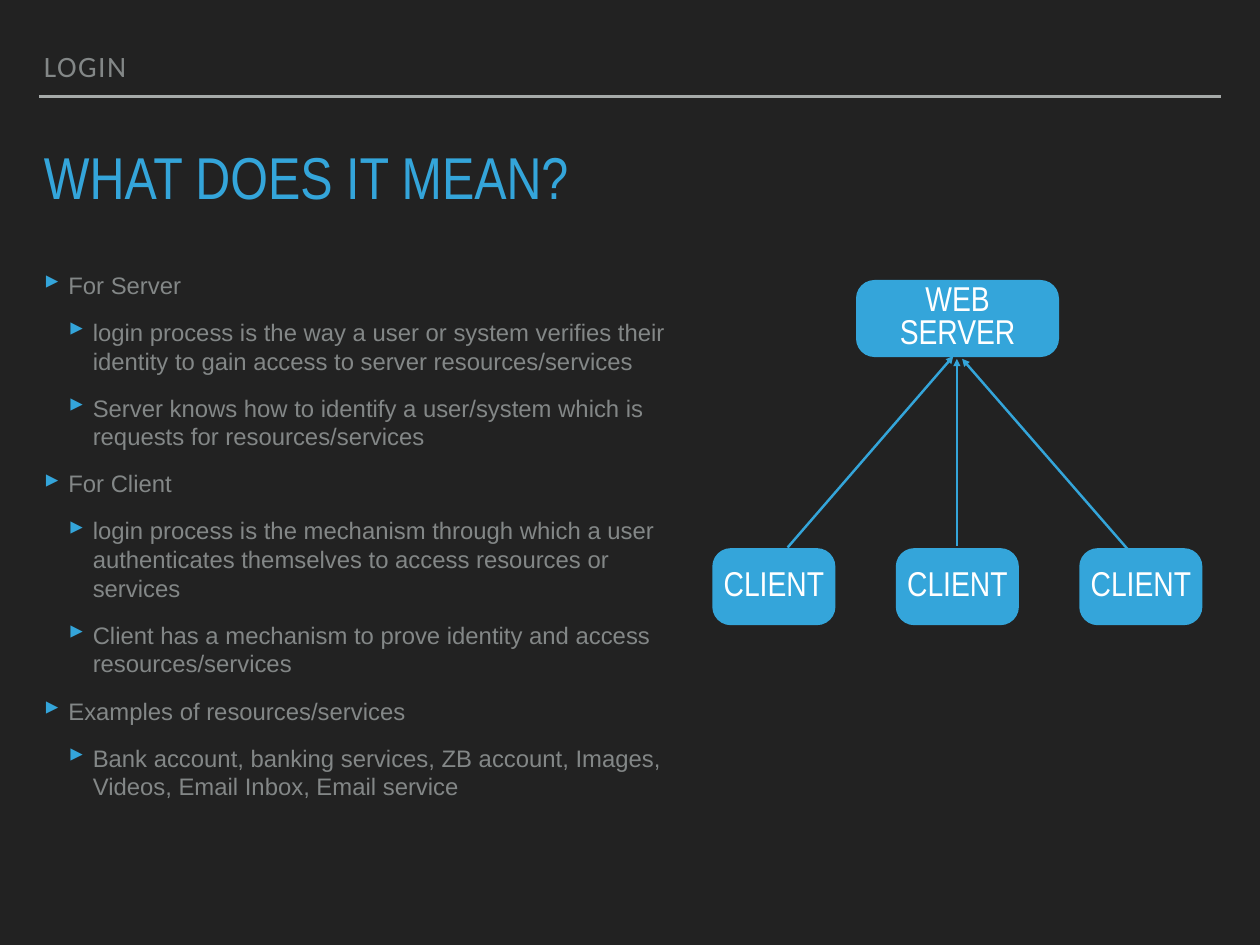
"""Build the LOGIN slide: what it means for the server and its clients."""
from typing import NamedTuple, Optional

from lxml.etree import SubElement
from pptx import Presentation
from pptx.dml.color import RGBColor
from pptx.enum.shapes import MSO_CONNECTOR, MSO_SHAPE
from pptx.enum.text import MSO_ANCHOR as ANCHOR, MSO_AUTO_SIZE as FIT, PP_ALIGN as ALIGN
from pptx.oxml.ns import qn
from pptx.slide import Slide
from pptx.text.text import TextFrame
from pptx.util import Cm, Pt

DARK = RGBColor(0x22, 0x22, 0x22)
BLUE = RGBColor(0x34, 0xA5, 0xDA)
GREY = RGBColor(0x83, 0x87, 0x87)
RULE = RGBColor(0xA6, 0xAA, 0xA9)
WHITE = RGBColor(0xFF, 0xFF, 0xFF)

MARGIN = 1.12
INDENT = 0.7
CLIENT_LEFT, CLIENT_TOP, CLIENT_STEP = 20.42, 15.72, 5.26


class Box(NamedTuple):
    text: str
    left: float
    top: float
    width: float
    height: float = 2.21


class Line(NamedTuple):
    x1: float
    y1: float
    x2: float
    y2: float


class Style(NamedTuple):
    font: str
    size: float
    color: RGBColor
    align: ALIGN = ALIGN.LEFT
    anchor: ANCHOR = ANCHOR.TOP
    line_spacing: Optional[float] = 0.8
    space_before: float = 0


class Bullet(NamedTuple):
    level: int
    text: str


EYEBROW = Box("LOGIN", MARGIN, 1.27, 31.04, 1.27)
TITLE = Box("WHAT DOES IT MEAN?", MARGIN, 4.27, 33.86, 2.01)
SERVER = Box("WEB SERVER", 24.54, 8.03, 5.82)
CLIENTS = [Box("CLIENT", CLIENT_LEFT + i * CLIENT_STEP, CLIENT_TOP, 3.53) for i in range(3)]
HEADER_RULE = Line(MARGIN, 2.77, 35, 2.77)
REQUESTS = [
    Line(22.58, 15.7, 27.33, 10.21),
    Line(27.43, 15.65, 27.43, 10.29),
    Line(32.44, 15.88, 27.58, 10.29),
]
BULLETS = [
    Bullet(0, "For Server"),
    Bullet(1, "login process is the way a user or system verifies their identity "
              "to gain access to server resources/services"),
    Bullet(1, "Server knows how to identify a user/system which is requests for "
              "resources/services"),
    Bullet(0, "For Client"),
    Bullet(1, "login process is the mechanism through which a user authenticates "
              "themselves to access resources or services"),
    Bullet(1, "Client has a mechanism to prove identity and access resources/services"),
    Bullet(0, "Examples of resources/services"),
    Bullet(1, "Bank account, banking services, ZB account, Images, Videos, "
              "Email Inbox, Email service"),
]
BODY = Box("\n".join(b.text for b in BULLETS), MARGIN, 7.62, 19, 18.42)

EYEBROW_STYLE = Style("Calibri", 24, GREY, anchor=ANCHOR.BOTTOM)
TITLE_STYLE = Style("Arial Narrow", 48, BLUE, space_before=22)
NODE_STYLE = Style("Arial Narrow", 28, WHITE, ALIGN.CENTER, ANCHOR.MIDDLE)
BODY_STYLE = Style("Arial", 19.4, GREY, line_spacing=None, space_before=15)


def place(box: Box) -> tuple[Cm, Cm, Cm, Cm]:
    """Return the position and size of a box as lengths."""
    return Cm(box.left), Cm(box.top), Cm(box.width), Cm(box.height)


def write(tf: TextFrame, text: str, style: Style) -> None:
    """Fill a text frame and format its paragraphs and runs."""
    tf.text = text
    tf.word_wrap = True
    tf.auto_size = FIT.NONE
    tf.vertical_anchor = style.anchor
    tf.margin_left = tf.margin_right = tf.margin_top = tf.margin_bottom = Cm(0.14)
    for p in tf.paragraphs:
        p.alignment = style.align
        p.line_spacing = style.line_spacing
        p.space_before = Pt(style.space_before)
        for r in p.runs:
            r.font.name = style.font
            r.font.size = Pt(style.size)
            r.font.color.rgb = style.color


def add_text(slide: Slide, box: Box, style: Style) -> TextFrame:
    """Add a text box and return its text frame."""
    tf = slide.shapes.add_textbox(*place(box)).text_frame
    write(tf, box.text, style)
    return tf


def add_node(slide: Slide, box: Box) -> None:
    """Add a rounded node of the diagram."""
    sp = slide.shapes.add_shape(MSO_SHAPE.ROUNDED_RECTANGLE, *place(box))
    sp.adjustments[0] = 0.24
    sp.shadow.inherit = False
    sp.fill.solid()
    sp.fill.fore_color.rgb = BLUE
    sp.line.fill.background()
    write(sp.text_frame, box.text, NODE_STYLE)


def add_line(slide: Slide, line: Line, color: RGBColor, arrow: bool = False) -> None:
    """Add a straight line, with an arrowhead at its end if asked."""
    cx = slide.shapes.add_connector(MSO_CONNECTOR.STRAIGHT, *(Cm(v) for v in line))
    cx.line.color.rgb = color
    cx.line.width = Pt(2)
    sp_pr = cx.element.spPr
    if arrow:
        SubElement(sp_pr.find(qn("a:ln")), qn("a:tailEnd"), type="triangle")
    SubElement(sp_pr, qn("a:effectLst"))


def add_bullets(tf: TextFrame) -> None:
    """Give each paragraph its level, hanging indent and blue marker."""
    for p, bullet in zip(tf.paragraphs, BULLETS):
        p.level = bullet.level
        p_pr = p._p.get_or_add_pPr()
        p_pr.set("marL", str(Cm(INDENT * (bullet.level + 1))))
        p_pr.set("indent", str(-Cm(INDENT)))
        SubElement(SubElement(p_pr, qn("a:buClr")), qn("a:srgbClr"), val=str(BLUE))
        SubElement(p_pr, qn("a:buSzPct"), val="105000")
        SubElement(p_pr, qn("a:buChar"), char="▸")


def main() -> None:
    """Build and save the slide."""
    prs = Presentation()
    prs.slide_width, prs.slide_height = Cm(36.12), Cm(27.1)
    slide = prs.slides.add_slide(prs.slide_layouts.get_by_name("Title Only"))
    slide.background.fill.solid()
    slide.background.fill.fore_color.rgb = DARK

    title = slide.shapes.title
    title.left, title.top, title.width, title.height = place(TITLE)
    write(title.text_frame, TITLE.text, TITLE_STYLE)

    add_line(slide, HEADER_RULE, RULE)
    eyebrow = add_text(slide, EYEBROW, EYEBROW_STYLE)
    eyebrow.paragraphs[0].runs[0].font._element.set("spc", "120")

    for box in [SERVER, *CLIENTS]:
        add_node(slide, box)
    for request in REQUESTS:
        add_line(slide, request, BLUE, arrow=True)
    add_bullets(add_text(slide, BODY, BODY_STYLE))

    prs.save("out.pptx")


if __name__ == "__main__":
    main()
